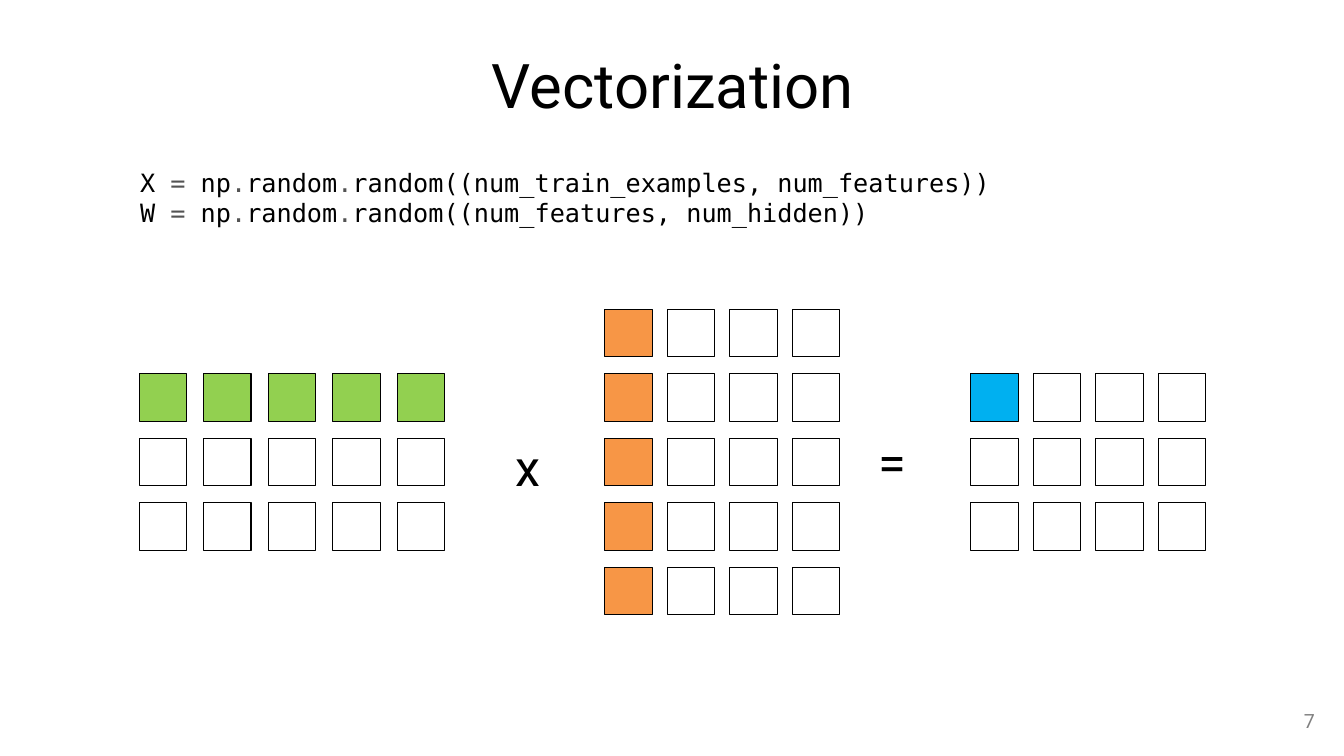
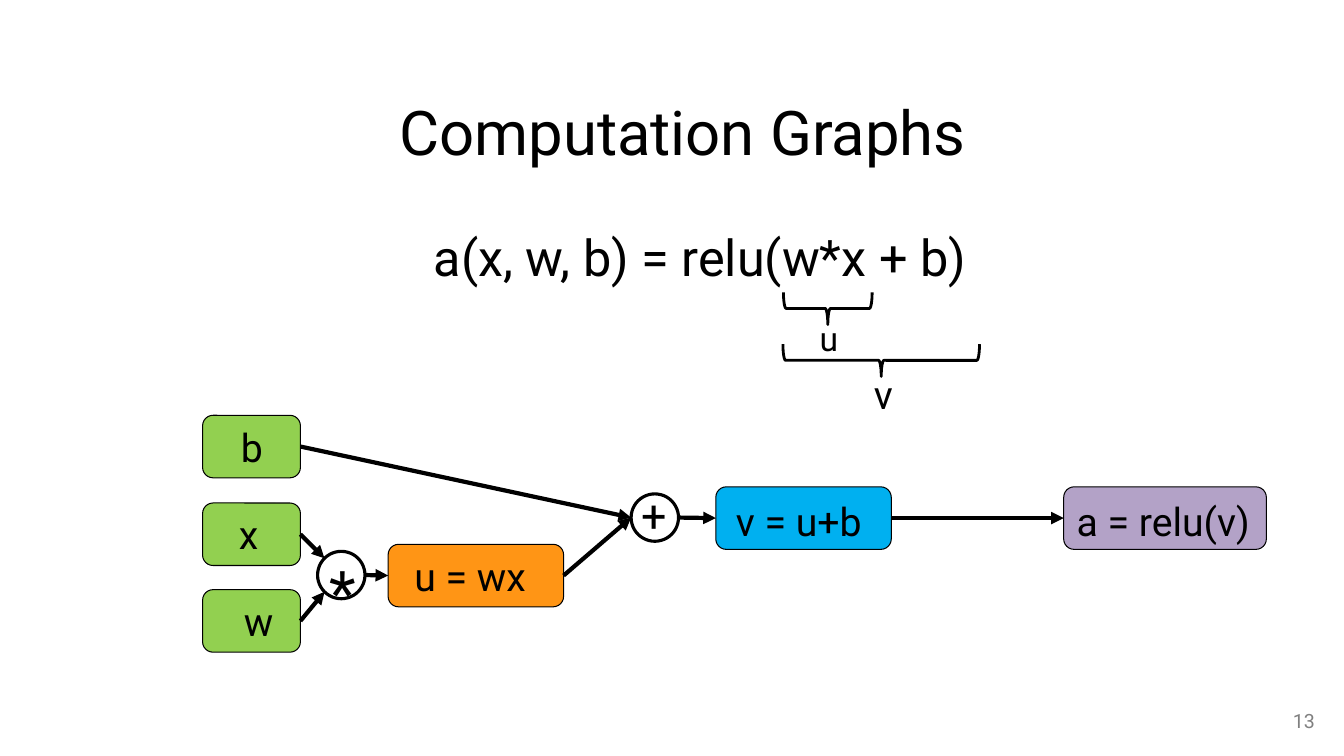
from dataclasses import dataclass
from itertools import product
from math import sqrt

from lxml.etree import SubElement
from pptx import Presentation
from pptx.dml.color import RGBColor
from pptx.enum.shapes import MSO_CONNECTOR as Connector, MSO_SHAPE as Preset
from pptx.enum.text import MSO_ANCHOR as Anchor, PP_ALIGN as Align
from pptx.oxml.ns import qn
from pptx.shapes.autoshape import Shape
from pptx.slide import Slide
from pptx.util import Inches, Pt

BLACK = RGBColor(0x00, 0x00, 0x00)
WHITE = RGBColor(0xFF, 0xFF, 0xFF)
GREEN = RGBColor(0x92, 0xD0, 0x50)
CORAL = RGBColor(0xF7, 0x96, 0x46)
ORANGE = RGBColor(0xFF, 0x95, 0x15)
BLUE = RGBColor(0x00, 0xB0, 0xF0)
PURPLE = RGBColor(0xB3, 0xA2, 0xC7)
PAGE_GRAY = RGBColor(0x80, 0x80, 0x80)
CODE_GRAY = RGBColor(0x53, 0x53, 0x53)

BODY_FONT = "Roboto"
CODE_FONT = "DejaVu Sans Mono"
CELL_SIZE = 0.47
NODE_HEIGHT = 0.62
CIRCLE_SIZE = 0.47

Point = tuple[float, float]


@dataclass(frozen=True)
class Frame:
    left: float
    top: float
    width: float
    height: float

    def lengths(self) -> tuple[Inches, Inches, Inches, Inches]:
        return (Inches(self.left), Inches(self.top),
                Inches(self.width), Inches(self.height))


@dataclass(frozen=True)
class Matrix:
    left: float
    top: float
    rows: int
    columns: int
    column_pitch: float
    color: RGBColor
    colored_rows: int
    colored_columns: int
    row_pitch: float = 0.64


@dataclass(frozen=True)
class Label:
    text: str
    frame: Frame
    size: int
    align: Align = Align.LEFT


@dataclass(frozen=True)
class Node:
    text: str
    left: float
    top: float
    width: float
    color: RGBColor
    indent: float
    drop: float = 0


@dataclass(frozen=True)
class Operator:
    left: float
    top: float
    label: Label

    def edge(self, across: float, down: float) -> Point:
        """Point on the circle in a direction given from its centre."""
        radius = CIRCLE_SIZE / 2
        return (self.left + radius * (1 + across),
                self.top + radius * (1 + down))


def style_text(box: Shape, text: str, size: int, align: Align,
               color: RGBColor = BLACK) -> None:
    box.text_frame.word_wrap = True
    box.text_frame.text = text
    para = box.text_frame.paragraphs[0]
    para.alignment = align
    font = para.runs[0].font
    font.name, font.size, font.color.rgb = BODY_FONT, Pt(size), color


def add_label(page: Slide, label: Label, color: RGBColor = BLACK) -> Shape:
    box = page.shapes.add_textbox(*label.frame.lengths())
    style_text(box, label.text, label.size, label.align, color)
    return box


def add_page(deck: Presentation, title: str, frame: Frame, number: int) -> Slide:
    page = deck.slides.add_slide(deck.slide_layouts[5])
    heading = page.shapes.title
    heading.left, heading.top, heading.width, heading.height = frame.lengths()
    style_text(heading, title, 44, Align.CENTER)
    heading.text_frame.vertical_anchor = Anchor.MIDDLE
    footer = Label(str(number), Frame(12.49, 6.95, 0.65, 0.4), 14, Align.RIGHT)
    box = add_label(page, footer, PAGE_GRAY)
    box.text_frame.vertical_anchor = Anchor.MIDDLE
    return page


def add_outlined(page: Slide, preset: Preset, frame: Frame,
                 color: RGBColor | None, line_width: float = 0.75) -> Shape:
    shape = page.shapes.add_shape(preset, *frame.lengths())
    shape.shadow.inherit = False
    if color is None:
        shape.fill.background()
    else:
        shape.fill.solid()
        shape.fill.fore_color.rgb = color
    shape.line.color.rgb = BLACK
    shape.line.width = Pt(line_width)
    return shape


def add_matrix(page: Slide, matrix: Matrix) -> None:
    for row, column in product(range(matrix.rows), range(matrix.columns)):
        colored = row < matrix.colored_rows and column < matrix.colored_columns
        frame = Frame(matrix.left + column * matrix.column_pitch,
                      matrix.top + row * matrix.row_pitch, CELL_SIZE, CELL_SIZE)
        add_outlined(page, Preset.RECTANGLE, frame,
                     matrix.color if colored else WHITE)


def add_code(page: Slide, frame: Frame, arrays: dict[str, str]) -> None:
    text_frame = page.shapes.add_textbox(*frame.lengths()).text_frame
    text_frame.word_wrap = True
    for index, (name, size) in enumerate(arrays.items()):
        para = text_frame.add_paragraph() if index else text_frame.paragraphs[0]
        tokens = (f"{name} ", "= ", "np", ".", "random", ".", f"random(({size}))")
        for token in tokens:
            span = para.add_run()
            span.text = token
            span.font.name, span.font.size = CODE_FONT, Pt(18)
            span.font.color.rgb = CODE_GRAY if token in ("= ", ".") else BLACK


def add_node(page: Slide, node: Node) -> Shape:
    frame = Frame(node.left, node.top, node.width, NODE_HEIGHT)
    shape = add_outlined(page, Preset.ROUNDED_RECTANGLE, frame, node.color)
    style_text(shape, node.text, 28, Align.LEFT)
    text_frame = shape.text_frame
    text_frame.vertical_anchor = Anchor.MIDDLE
    text_frame.margin_left = Inches(node.indent)
    text_frame.margin_top = Inches(node.drop)
    text_frame.margin_right = text_frame.margin_bottom = Inches(0)
    return shape


def add_operator(page: Slide, operator: Operator) -> None:
    frame = Frame(operator.left, operator.top, CIRCLE_SIZE, CIRCLE_SIZE)
    add_outlined(page, Preset.OVAL, frame, WHITE, 2.25)
    add_label(page, operator.label)


def add_arrow(page: Slide, start: Shape | Point, end: Shape | Point) -> None:
    """Arrow from a node's right side or a point to a node's left side or a point."""
    arrow = page.shapes.add_connector(Connector.STRAIGHT, 0, 0, 0, 0)
    if isinstance(start, tuple):
        arrow.begin_x, arrow.begin_y = (Inches(value) for value in start)
    else:
        arrow.begin_connect(start, 3)
    if isinstance(end, tuple):
        arrow.end_x, arrow.end_y = (Inches(value) for value in end)
    else:
        arrow.end_connect(end, 1)
    arrow.line.color.rgb = BLACK
    arrow.line.width = Pt(3)
    SubElement(arrow.line._get_or_add_ln(), qn("a:tailEnd"), type="triangle")
    SubElement(arrow._element.spPr, qn("a:effectLst"))


def add_vectorization(deck: Presentation) -> None:
    page = add_page(deck, "Vectorization", Frame(0.3, 0.21, 12.75, 1.25), 7)
    matrices = (
        Matrix(1.38, 3.71, 3, 5, 0.64, GREEN, 1, 5),
        Matrix(6, 3.07, 5, 4, 0.62, CORAL, 5, 1),
        Matrix(9.63, 3.71, 3, 4, 0.62, BLUE, 1, 1),
    )
    for matrix in matrices:
        add_matrix(page, matrix)
    add_label(page, Label("x", Frame(4.72, 4.28, 1.04, 0.71), 36, Align.CENTER))
    add_label(page, Label("=", Frame(8.33, 4.23, 1.04, 0.71), 36, Align.CENTER))
    add_code(page, Frame(1.29, 1.61, 10.65, 0.71), {
        "X": "num_train_examples, num_features",
        "W": "num_features, num_hidden",
    })


def add_computation_graph(deck: Presentation) -> None:
    page = add_page(deck, "Computation Graphs", Frame(0.4, 0.67, 12.75, 1.25), 13)
    labels = (
        Label("a(x, w, b) = relu(w*x + b)", Frame(3.96, 2.19, 5.97, 0.71), 36,
              Align.CENTER),
        Label("u", Frame(8.03, 3.1, 0.39, 0.5), 24),
        Label("v", Frame(8.57, 3.62, 0.4, 0.57), 28),
    )
    for label in labels:
        add_label(page, label)
    for frame in (Frame(8.05, 2.62, 0.32, 0.88), Frame(8.58, 2.6, 0.32, 1.95)):
        brace = add_outlined(page, Preset.RIGHT_BRACE, frame, None, 2)
        brace.rotation = 90

    bias, data, weight, product_node, total, output = (
        add_node(page, node) for node in (
            Node("b", 2.01, 4.12, 0.97, GREEN, 0.35),
            Node("x", 2.01, 4.99, 0.97, GREEN, 0.33),
            Node("w", 2.01, 5.85, 0.97, GREEN, 0.38),
            Node("u = wx", 3.85, 5.4, 1.74, ORANGE, 0.23),
            Node("v = u+b", 7.1, 4.83, 1.74, BLUE, 0.17, 0.05),
            Node("a = relu(v)", 10.55, 4.83, 2.01, PURPLE, 0.1, 0.05),
        ))
    times = Operator(3.15, 5.47, Label("*", Frame(3.17, 5.45, 0.44, 0.84), 44))
    plus = Operator(6.26, 4.9, Label("+", Frame(6.26, 4.79, 0.51, 0.64), 32))
    diagonal = sqrt(0.5)
    arrows = (
        (bias, plus.edge(-1, 0)),
        (weight, times.edge(-diagonal, diagonal)),
        (data, times.edge(-diagonal, -diagonal)),
        (times.edge(1, 0), product_node),
        (product_node, plus.edge(-1, 0)),
        (plus.edge(1, 0), total),
        (total, output),
    )
    for start, end in arrows:
        add_arrow(page, start, end)
    for operator in (times, plus):
        add_operator(page, operator)


def main() -> None:
    deck = Presentation()
    deck.slide_width, deck.slide_height = Inches(13.33), Inches(7.5)
    add_vectorization(deck)
    add_computation_graph(deck)
    deck.save("out.pptx")


if __name__ == "__main__":
    main()
